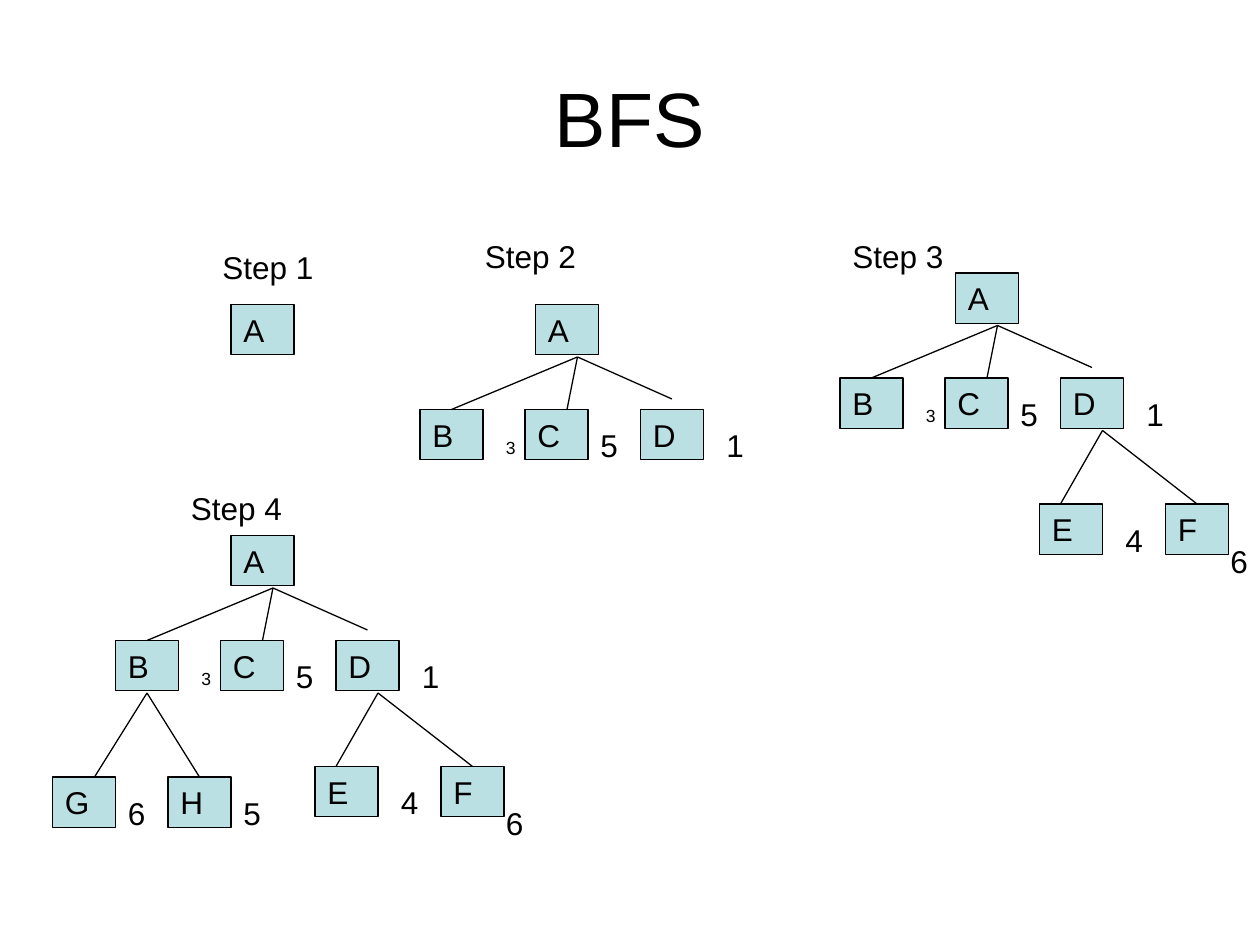
import pptx
import pptx.util
import pptx.dml.color
import pptx.enum.shapes
import pptx.enum.text
import pptx.oxml
import pptx.oxml.ns

Inches = pptx.util.Inches
Pt = pptx.util.Pt
COLORS = {"ink": "000000", "node": "BBE0E3"}
FONT = "Arial"
NODE_WIDTH, NODE_HEIGHT = Inches(0.5), Inches(0.4)

# Branches, in twelfths of an inch from the top left corner of root A.
# start: where the edges leave the parent
# nodes: letter, left, top, and edge end (None: middle of the node's top side)
# costs: number, left, top, width, font size
ROOT_BRANCH = {
    "start": (4, 5),
    "nodes": [("B", -11, 10, None), ("C", -1, 10, (3, 10)), ("D", 10, 10, (13, 9))],
    "costs": [("3", -4, 12, 3, 10), ("5", 5, 11, 4, 18), ("1", 17, 11, 4, 18)],
}
D_BRANCH = {
    "start": (14, 15),
    "nodes": [("E", 8, 22, (10, 22)), ("F", 20, 22, None)],
    "costs": [("4", 15, 23, 4, 18), ("6", 25, 25, 4, 18)],
}
B_BRANCH = {
    "start": (-8, 15),
    "nodes": [("G", -17, 23, (-13, 23)), ("H", -6, 23, None)],
    "costs": [("6", -11, 24, 5, 18), ("5", 0, 24, 5, 18)],
}

# Step name, label corner, root corner (twelfths of an inch), branches
STEPS = [
    ("Step 1", (20, 23), (22, 29), []),
    ("Step 2", (45, 22), (51, 29), [ROOT_BRANCH]),
    ("Step 3", (80, 22), (91, 26), [ROOT_BRANCH, D_BRANCH]),
    ("Step 4", (17, 46), (22, 51), [ROOT_BRANCH, D_BRANCH, B_BRANCH]),
]


def grid(count):
    return Inches(count / 12)


def color(name):
    return pptx.dml.color.RGBColor.from_string(COLORS[name])


def write(box, text, size, align=pptx.enum.text.PP_ALIGN.LEFT,
          anchor=pptx.enum.text.MSO_ANCHOR.TOP):
    frame = box.text_frame
    frame.word_wrap = True
    frame.vertical_anchor = anchor
    paragraph = frame.paragraphs[0]
    paragraph.text = text
    paragraph.alignment = align
    paragraph.font.name = FONT
    paragraph.font.size = Pt(size)
    paragraph.font.color.rgb = color("ink")


def add_label(shapes, text, left, top, width, height, size):
    box = shapes.add_textbox(left, top, width, height)
    write(box, text, size)
    box.text_frame.auto_size = pptx.enum.text.MSO_AUTO_SIZE.SHAPE_TO_FIT_TEXT


def add_node(shapes, letter, left, top):
    node = shapes.add_shape(pptx.enum.shapes.MSO_SHAPE.RECTANGLE,
                            left, top, NODE_WIDTH, NODE_HEIGHT)
    node.shadow.inherit = False
    node.fill.solid()
    node.fill.fore_color.rgb = color("node")
    node.line.color.rgb = color("ink")
    node.line.width = Pt(0.75)
    write(node, letter, 18)
    return node


def add_edge(shapes, start, end, child=None):
    edge = shapes.add_connector(pptx.enum.shapes.MSO_CONNECTOR.STRAIGHT, *start, *end)
    edge.line.color.rgb = color("ink")
    edge.line.width = Pt(0.75)
    properties = edge._element.spPr
    properties.append(pptx.oxml.parse_xml(
        "<a:effectLst %s/>" % pptx.oxml.ns.nsdecls("a")))
    if child is not None:
        edge.end_connect(child, 0)


def add_branch(shapes, branch, left, top):
    def place(across, down):
        return left + grid(across), top + grid(down)

    start = place(*branch["start"])
    for letter, across, down, end in branch["nodes"]:
        node = add_node(shapes, letter, *place(across, down))
        if end is None:
            add_edge(shapes, start, (node.left + node.width // 2, node.top), node)
        else:
            add_edge(shapes, start, place(*end))
    for cost, across, down, width, size in branch["costs"]:
        height = Inches(0.27 if size == 10 else 0.4)
        add_label(shapes, cost, *place(across, down), grid(width), height, size)


def add_tree(page, left, top, branches):
    shapes = page.shapes.add_group_shape().shapes if branches else page.shapes
    add_node(shapes, "A", left, top)
    for branch in branches:
        add_branch(shapes, branch, left, top)


def add_title(page, text, left, top, width, height):
    box = page.shapes.add_textbox(left, top, width, height)
    write(box, text, 44, pptx.enum.text.PP_ALIGN.CENTER,
          pptx.enum.text.MSO_ANCHOR.MIDDLE)


def main():
    deck = pptx.Presentation()
    deck.slide_width, deck.slide_height = Inches(10), Inches(7.5)
    page = deck.slides.add_slide(deck.slide_layouts[6])

    add_title(page, "BFS", Inches(0.5), Inches(0.3), Inches(9), Inches(1.25))

    # Search steps: a label and the tree found so far
    for name, label, root, branches in STEPS:
        add_label(page.shapes, name, grid(label[0]), grid(label[1]),
                  Inches(1.25), Inches(0.4), 18)
        add_tree(page, grid(root[0]), grid(root[1]), branches)

    deck.save("out.pptx")


if __name__ == "__main__":
    main()
